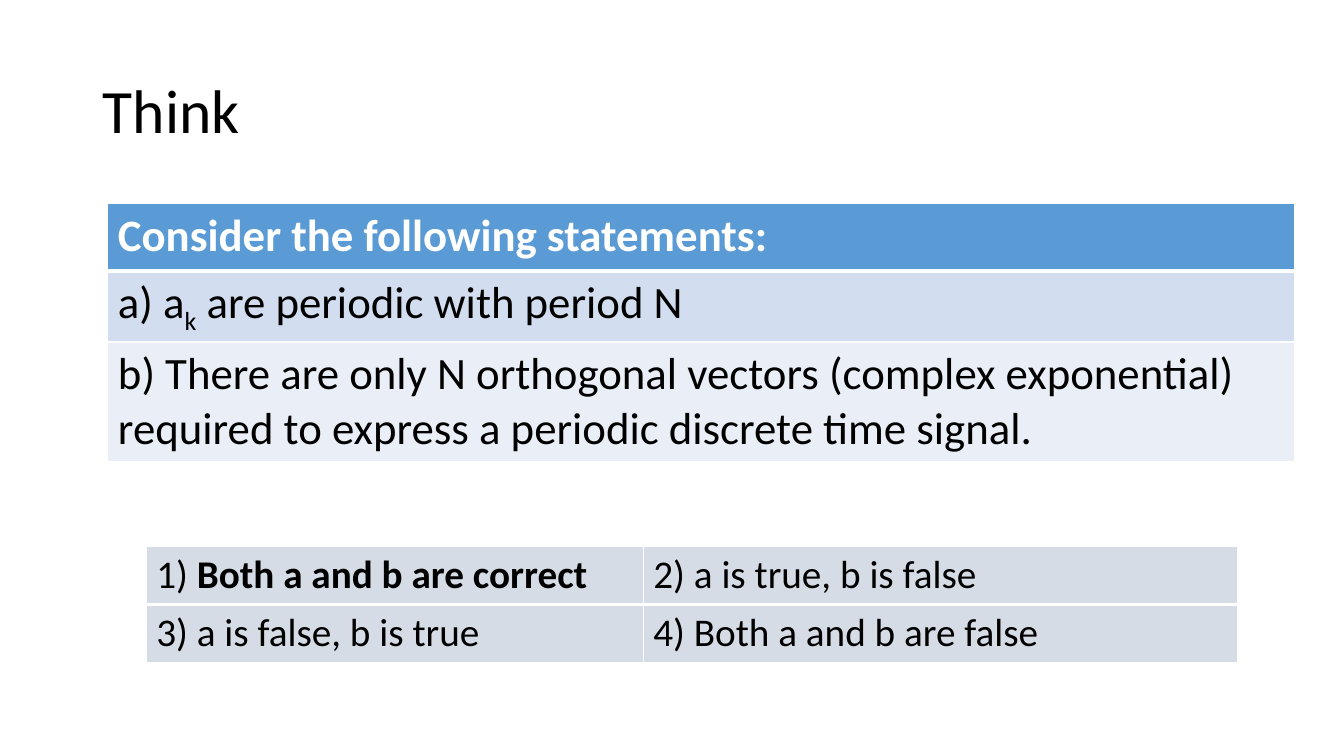
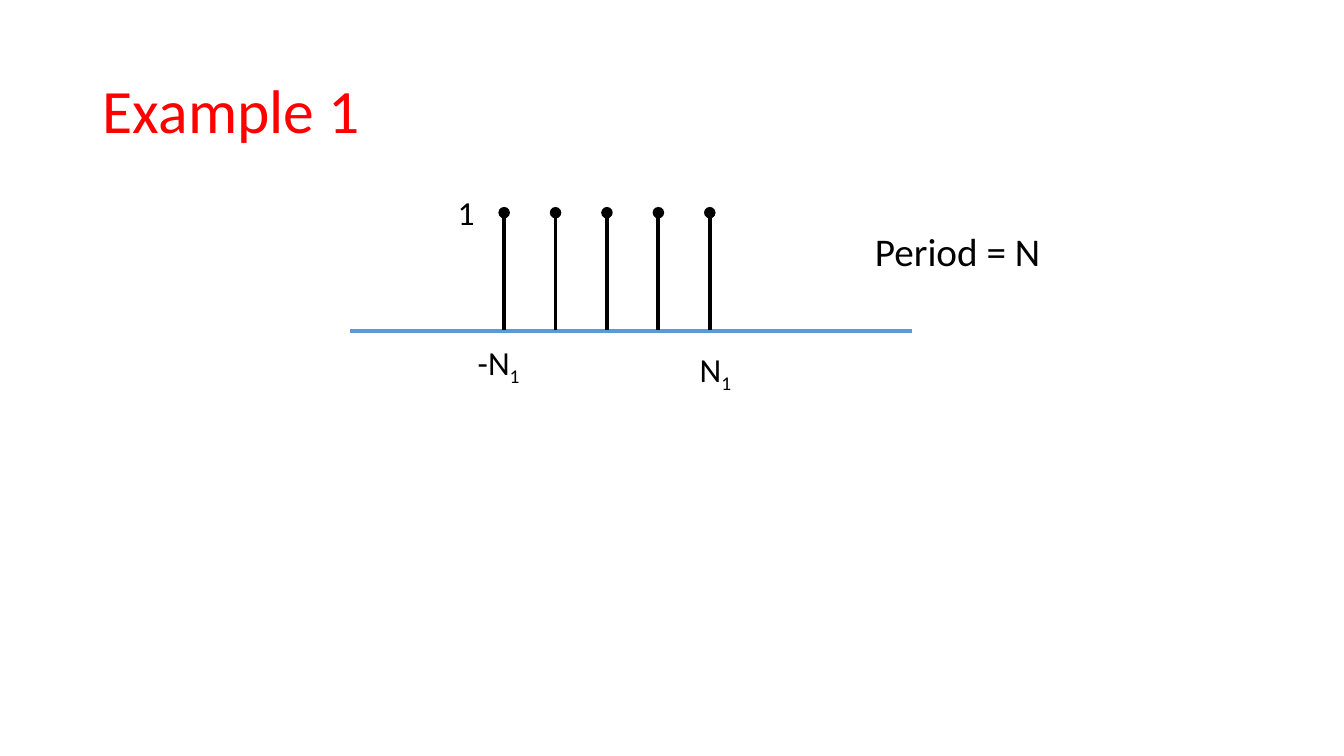
from dataclasses import dataclass

from lxml.etree import SubElement
from pptx import Presentation
from pptx.dml.color import RGBColor
from pptx.enum.shapes import MSO_CONNECTOR
from pptx.enum.text import MSO_ANCHOR, PP_ALIGN
from pptx.oxml.ns import qn
from pptx.util import Inches, Pt


@dataclass(frozen=True)
class Theme:
    font: str = "Calibri"
    black: str = "000000"
    white: str = "FFFFFF"
    red: str = "FF0000"
    blue: str = "5B9BD5"
    band_dark: str = "D2DEEF"
    band_light: str = "EAEFF7"
    answer_fill: str = "D6DCE5"
    title_size: float = 44
    statement_size: float = 32
    answer_size: float = 28
    label_size: float = 24
    line_width: float = 2.75
    thin_border: float = 1
    thick_border: float = 3


THEME = Theme()
TITLE_ONLY_LAYOUT = 5
SUBSCRIPT, BOLD = "subscript", "bold"


def write_text(text_frame, parts, size, color=THEME.black, bold=False):
    """Write one paragraph; a part is a string or a (string, style) pair."""
    paragraph = text_frame.paragraphs[0]
    paragraph.font.name = THEME.font
    paragraph.font.size = Pt(size)
    paragraph.font.bold = bold
    paragraph.font.color.rgb = RGBColor.from_string(color)
    for part in parts:
        text, style = (part, None) if isinstance(part, str) else part
        run = paragraph.add_run()
        run.text = text
        if style == BOLD:
            run.font.bold = True
        elif style == SUBSCRIPT:
            run._r.get_or_add_rPr().set("baseline", "-25000")
    return paragraph


def add_titled_slide(presentation, title, color=THEME.black):
    layout = presentation.slide_layouts[TITLE_ONLY_LAYOUT]
    slide = presentation.slides.add_slide(layout)
    shape = slide.shapes.title
    shape.left, shape.top = Inches(0.92), Inches(0.4)
    shape.width, shape.height = Inches(11.5), Inches(1.45)
    shape.text_frame.vertical_anchor = MSO_ANCHOR.MIDDLE
    paragraph = write_text(shape.text_frame, [title], THEME.title_size, color)
    paragraph.alignment = PP_ALIGN.LEFT
    paragraph.line_spacing = 0.9
    return slide


def set_borders(cell, top, bottom):
    properties = cell._tc.get_or_add_tcPr()
    widths = {"L": THEME.thin_border, "R": THEME.thin_border, "T": top, "B": bottom}
    for side, width in widths.items():
        border = SubElement(properties, qn(f"a:ln{side}"), w=str(Pt(width)))
        fill = SubElement(border, qn("a:solidFill"))
        SubElement(fill, qn("a:srgbClr"), val=THEME.white)


def add_text_table(slide, left, top, columns, heights, rows, fills, size, header=False):
    """Add a table with one fill per row and a thick rule below the first row."""
    table = slide.shapes.add_table(
        len(rows), len(columns), Inches(left), Inches(top),
        Inches(sum(columns)), Inches(sum(heights))).table
    table.first_row = header
    table.horz_banding = False
    for column, width in zip(table.columns, columns):
        column.width = Inches(width)
    for row_index, (row, height, fill) in enumerate(zip(rows, heights, fills)):
        table.rows[row_index].height = Inches(height)
        is_header = header and row_index == 0
        above = THEME.thick_border if row_index == 1 else THEME.thin_border
        below = THEME.thick_border if row_index == 0 else THEME.thin_border
        for column_index, parts in enumerate(row):
            cell = table.cell(row_index, column_index)
            set_borders(cell, above, below)
            cell.fill.solid()
            cell.fill.fore_color.rgb = RGBColor.from_string(fill)
            color = THEME.white if is_header else THEME.black
            write_text(cell.text_frame, parts, size, color, is_header)


def add_line(slide, start, end, color, oval_head=False):
    connector = slide.shapes.add_connector(
        MSO_CONNECTOR.STRAIGHT, *(Inches(value) for value in start + end))
    connector.line.color.rgb = RGBColor.from_string(color)
    connector.line.width = Pt(THEME.line_width)
    if oval_head:
        SubElement(connector.line._get_or_add_ln(), qn("a:headEnd"), type="oval")
    SubElement(connector._element.spPr, qn("a:effectLst"))


def add_label(slide, left, top, width, height, parts, size=THEME.label_size):
    box = slide.shapes.add_textbox(
        Inches(left), Inches(top), Inches(width), Inches(height))
    box.text_frame.word_wrap = True
    write_text(box.text_frame, parts, size)


def build_think_slide(presentation):
    slide = add_titled_slide(presentation, "Think")
    # Statements
    statements = [
        [["Consider the following statements:"]],
        [["a) a", ("k", SUBSCRIPT), " are periodic with period N"]],
        [["b) There are only N orthogonal vectors (complex exponential) "
          "required to express a periodic discrete time signal."]],
    ]
    add_text_table(slide, 1.07, 2.02, [11.77], [0.67, 0.7, 1.17], statements,
                   [THEME.blue, THEME.band_dark, THEME.band_light],
                   THEME.statement_size, header=True)
    # Answers
    answers = [
        [["1) ", ("Both a and b are correct", BOLD)], ["2) a is true, b is false"]],
        [["3) a is false, b is true"], ["4) Both a and b are false"]],
    ]
    add_text_table(slide, 1.45, 5.42, [4.93, 5.89], [0.57] * 2, answers,
                   [THEME.answer_fill] * 2, THEME.answer_size)


def build_example_slide(presentation):
    slide = add_titled_slide(presentation, "Example 1", THEME.red)
    # Time axis and samples
    axis_y, sample_top = 3.28, 2.11
    first_sample, sample_gap, sample_count = 5, 0.51, 5
    add_line(slide, (3.47, axis_y), (9.05, axis_y), THEME.blue)
    for index in range(sample_count):
        x = first_sample + index * sample_gap
        add_line(slide, (x, sample_top), (x, axis_y - 0.01), THEME.black, oval_head=True)
    # Labels
    add_label(slide, 6.84, 3.41, 1.56, 0.5, ["N", ("1", SUBSCRIPT)])
    add_label(slide, 4.64, 3.34, 1.56, 0.5, ["-N", ("1", SUBSCRIPT)])
    add_label(slide, 4.44, 1.85, 0.54, 0.5, ["1"])
    add_label(slide, 8.58, 2.21, 2.6, 0.57, ["Period = N"], THEME.answer_size)


def main():
    presentation = Presentation()
    presentation.slide_width = Inches(13.33)
    presentation.slide_height = Inches(7.5)
    build_think_slide(presentation)
    build_example_slide(presentation)
    presentation.save("out.pptx")


if __name__ == "__main__":
    main()
